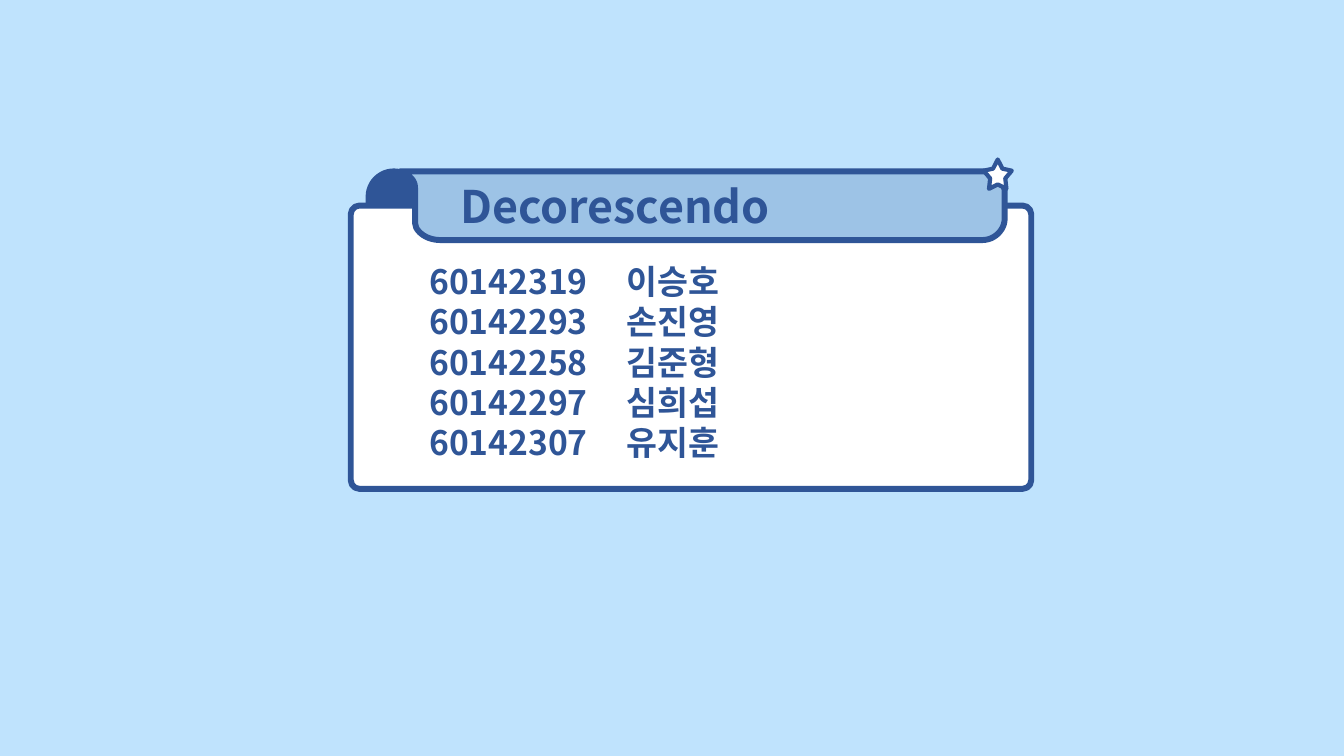
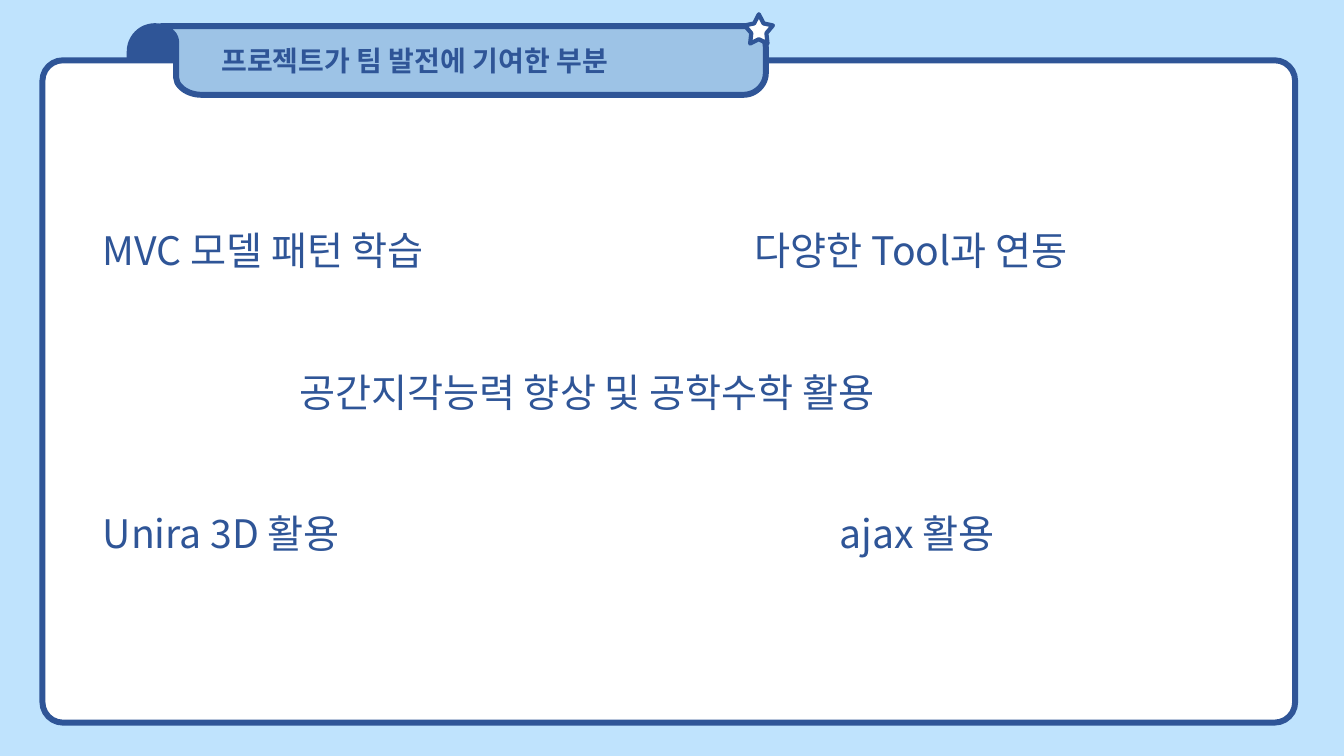
from lxml import etree
from pptx import Presentation
from pptx.dml.color import RGBColor
from pptx.enum.shapes import MSO_SHAPE
from pptx.enum.text import MSO_ANCHOR, PP_ALIGN
from pptx.oxml.ns import qn
from pptx.util import Cm, Pt

ROUND_RECT = MSO_SHAPE.ROUNDED_RECTANGLE
ROUND_TOP = MSO_SHAPE.ROUND_2_SAME_RECTANGLE
STAR = MSO_SHAPE.STAR_5_POINT
LEFT = PP_ALIGN.LEFT
TOP, MIDDLE = MSO_ANCHOR.TOP, MSO_ANCHOR.MIDDLE

FONT = "Noto Sans CJK KR"
SKY, NAVY, BLUE, WHITE = "BFE3FD", "2F5597", "9DC3E6", "FFFFFF"
BORDER = 4.25
CURVE_STEPS = 12

BANNER_W, BANNER_H = 15.24, 1.73
BANNER_RISE = 0.86
BANNER_OUTLINE = [
    [(14.68, 0)],
    [(14.99, 0), (15.24, 0.23), (15.24, 0.53)],
    [(15.24, 1.19)],
    [(15.24, 1.47), (14.99, BANNER_H), (14.68, BANNER_H)],
    [(1.02, BANNER_H)],
    [(0.74, BANNER_H), (0.51, 1.6), (0.41, 1.42)],
    [(0.38, 1.3)],
    [(0.38, 0.41)],
    [(0.38, 0.25), (0.28, 0.13), (0.1, 0.05)],
    [(0, 0.03)],
]

MEMBERS = [
    ("60142319", "이승호"),
    ("60142293", "손진영"),
    ("60142258", "김준형"),
    ("60142297", "심희섭"),
    ("60142307", "유지훈"),
]
CONTRIBUTIONS = [
    ("MVC 모델 패턴 학습", "다양한 Tool과 연동"),
    ("공간지각능력 향상 및 공학수학 활용",),
    ("Unira 3D 활용", "ajax 활용"),
]
CONTRIBUTION_TABS = [(1.12, 17.55), (6.07,), (1.12, 19.69)]


def rgb(value):
    return RGBColor.from_string(value)


def paint(sp, fill, width=BORDER):
    sp.shadow.inherit = False
    sp.fill.solid()
    sp.fill.fore_color.rgb = rgb(fill)
    sp.line.color.rgb = rgb(NAVY)
    sp.line.width = Pt(width)
    etree.SubElement(sp.line._ln, qn("a:round"))


def add_preset(s, kind, x, y, w, h, fill, width=BORDER, adjustments=()):
    sp = s.shapes.add_shape(kind, Cm(x), Cm(y), Cm(w), Cm(h))
    for i, value in enumerate(adjustments):
        sp.adjustments[i] = value
    paint(sp, fill, width)
    return sp


def add_run(p, text, size, bold):
    r = p.add_run()
    r.text = text
    r.font.name = FONT
    r.font.size = Pt(size)
    r.font.bold = bold
    r.font.color.rgb = rgb(NAVY)
    etree.SubElement(r.font._element, qn("a:ea"), typeface=FONT)


def write_rows(tf, rows, tabs, size, bold=False, anchor=MIDDLE, gap=0, lead=""):
    tf.word_wrap = True
    tf.vertical_anchor = anchor
    for i, (cells, stops) in enumerate(zip(rows, tabs)):
        p = tf.add_paragraph() if i else tf.paragraphs[0]
        p.alignment = LEFT
        p.space_before = Pt(gap if i else 0)
        if stops:
            tab_list = etree.SubElement(p._p.get_or_add_pPr(), qn("a:tabLst"))
            for stop in stops:
                etree.SubElement(tab_list, qn("a:tab"), pos=str(Cm(stop)), algn="l")
        for j, cell in enumerate(cells):
            add_run(p, ("\t" if j else lead) + cell, size, bold)


def outline_points():
    points = [(0, 0)]
    for part in BANNER_OUTLINE:
        if len(part) == 1:
            points += part
            continue
        corners = [points[-1]] + part
        for step in range(1, CURVE_STEPS + 1):
            t = step / CURVE_STEPS
            weights = ((1 - t) ** 3, 3 * t * (1 - t) ** 2, 3 * t * t * (1 - t), t ** 3)
            points.append(tuple(
                sum(k * c[axis] for k, c in zip(weights, corners)) for axis in (0, 1)))
    return [(Cm(x), Cm(y)) for x, y in points]


def add_banner(s, x, y, title, size):
    points = outline_points()
    builder = s.shapes.build_freeform(*points[0])
    builder.add_line_segments(points[1:], close=True)
    sp = builder.convert_to_shape(Cm(x), Cm(y))
    paint(sp, BLUE)
    tf = sp.text_frame
    tf.margin_left = Cm(1.52)
    write_rows(tf, [(title,)], [()], size, bold=True)
    add_preset(s, STAR, x + BANNER_W - 0.53, y - 0.3, 0.71, 0.74, WHITE, 3, (0.269,))


def add_panel(s, x, y, w, h, banner_dx, title, size):
    bx, by = x + banner_dx, y - BANNER_RISE
    add_preset(s, ROUND_TOP, bx - 0.79, by, 1.27, 2.49, NAVY, adjustments=(0.5, 0))
    card = add_preset(s, ROUND_RECT, x, y, w, h, WHITE, adjustments=(0.031,))
    add_banner(s, bx, by, title, size)
    return card


def new_slide(prs):
    s = prs.slides.add_slide(prs.slide_layouts[6])
    s.background.fill.solid()
    s.background.fill.fore_color.rgb = rgb(SKY)
    return s


def team_slide(prs):
    s = new_slide(prs)
    x, y, w, h = 8.84, 5.18, 17.15, 7.14
    add_panel(s, x, y, w, h, 1.24, "Decorescendo", 32)
    box = s.shapes.add_textbox(Cm(x + 1.73), Cm(y + 1.27), Cm(14.2), Cm(5.38))
    write_rows(box.text_frame, MEMBERS, [(4.98,)] * len(MEMBERS), 24, True, TOP)


def contribution_slide(prs):
    s = new_slide(prs)
    card = add_panel(s, 1.07, 1.52, 31.57, 16.69, 2.99, "프로젝트가 팀 발전에 기여한 부분", 20)
    write_rows(card.text_frame, CONTRIBUTIONS, CONTRIBUTION_TABS, 28, gap=67.6, lead="\t")


def main():
    prs = Presentation()
    prs.slide_width, prs.slide_height = Cm(33.87), Cm(19.05)
    team_slide(prs)
    contribution_slide(prs)
    prs.save("out.pptx")


if __name__ == "__main__":
    main()
